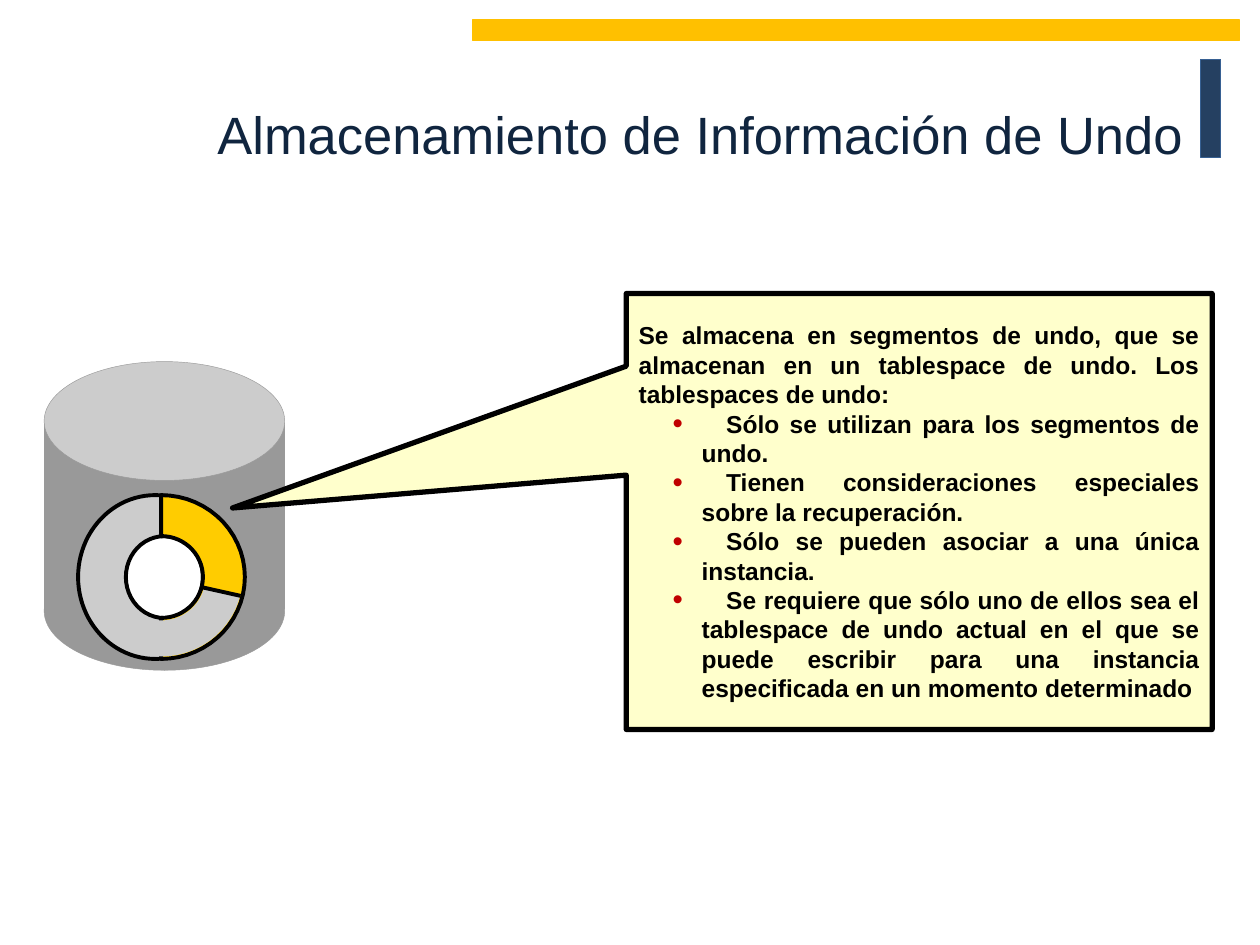
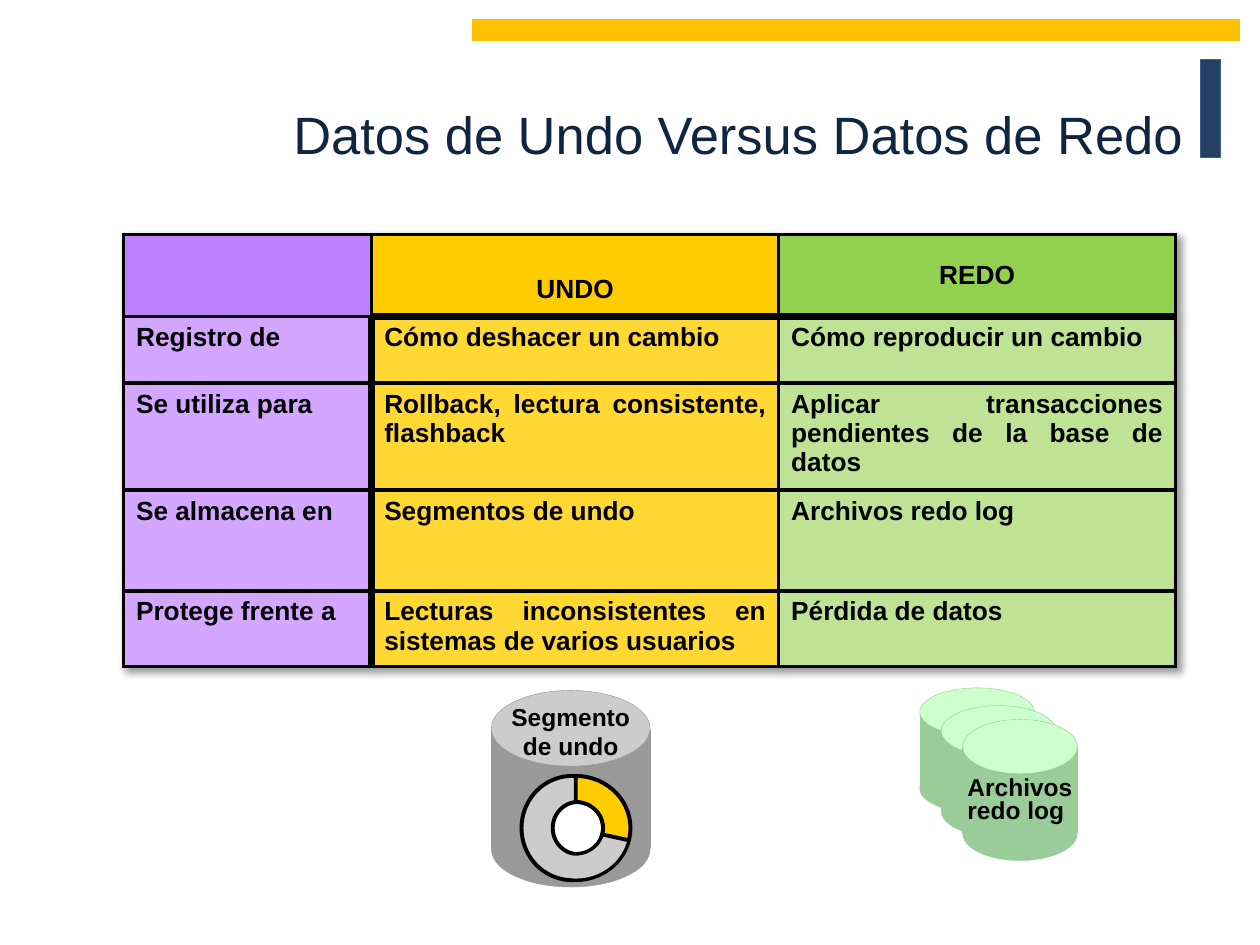
from math import cos, radians, sin

from lxml import etree
from pptx import Presentation
from pptx.dml.color import RGBColor
from pptx.enum.shapes import MSO_CONNECTOR, MSO_SHAPE
from pptx.enum.text import MSO_ANCHOR, PP_ALIGN
from pptx.oxml import parse_xml
from pptx.oxml.ns import nsdecls, qn
from pptx.util import Inches, Pt

RECT, OVAL = MSO_SHAPE.RECTANGLE, MSO_SHAPE.OVAL
CALLOUT = MSO_SHAPE.RECTANGULAR_CALLOUT
STRAIGHT = MSO_CONNECTOR.STRAIGHT
LEFT, CENTER, RIGHT = PP_ALIGN.LEFT, PP_ALIGN.CENTER, PP_ALIGN.RIGHT
JUSTIFY = PP_ALIGN.JUSTIFY
TOP, MIDDLE = MSO_ANCHOR.TOP, MSO_ANCHOR.MIDDLE

COLORS = {
    "black": "000000", "white": "FFFFFF", "title": "10253F",
    "navy": "254061", "navy_line": "376092", "band": "FFC000",
    "grey": "999999", "light_grey": "CCCCCC", "gold": "FFCC00",
    "green": "99CC99", "light_green": "CCFFCC",
    "note": "FFFFCC", "bullet": "C00000",
}
HEAD_FILLS = ("C081FF", "FFCC00", "92D050")
BODY_FILLS = ("D3A7FF", "FFD833", "BEE395")
FONT = "Arial"
COLUMNS, ROWS = 100, 75
CELL = Inches(0.1)
THIN, THICK = 2.25, 4.5


def grid(*values):
    return [round(v * CELL) for v in values]


def part(box, x, y, w, h):
    left, top, width, height = box
    return left + x * width, top + y * height, w * width, h * height


def rgb(name):
    return RGBColor.from_string(COLORS[name])


def paint(sp, fill, line=None, width=THIN):
    sp.shadow.inherit = False
    sp.fill.solid()
    sp.fill.fore_color.rgb = rgb(fill)
    if line:
        sp.line.color.rgb = rgb(line)
        sp.line.width = Pt(width)
    else:
        sp.line.fill.background()
    return sp


def shape(s, kind, box, fill, line, width=THIN):
    return paint(s.shapes.add_shape(kind, *grid(*box)), fill, line, width)


def style(p, size, align=LEFT, color="black", bold=True):
    p.alignment = align
    p.font.name = FONT
    p.font.size = Pt(size)
    p.font.bold = bold
    p.font.color.rgb = rgb(color)


def write(tf, lines, size, align=LEFT, anchor=TOP, color="black", bold=True):
    tf.word_wrap = True
    tf.vertical_anchor = anchor
    for i, line in enumerate(lines):
        p = tf.paragraphs[0] if i == 0 else tf.add_paragraph()
        p.text = line
        style(p, size, align, color, bold)


def label(s, box, lines, size, **options):
    tf = s.shapes.add_textbox(*grid(*box)).text_frame
    write(tf, lines, size, **options)
    return tf


def add_bullet(p):
    pPr = p._p.get_or_add_pPr()
    pPr.set("marL", str(Inches(0.5)))
    pPr.set("indent", str(-Inches(0.23)))
    ns = nsdecls("a")
    marks = (
        f'<a:buClr {ns}><a:srgbClr val="{COLORS["bullet"]}"/></a:buClr>',
        f'<a:buSzPct {ns} val="120000"/>',
        f'<a:buFont {ns} typeface="{FONT}"/>',
        f'<a:buChar {ns} char="•"/>',
    )
    for i, mark in enumerate(marks):
        pPr.insert(i, parse_xml(mark))


def frame(prs, title):
    s = prs.slides.add_slide(prs.slide_layouts[6])
    shape(s, RECT, (95.3, 4.7, 1.6, 7.8), "navy", "navy_line", 0.75)
    shape(s, RECT, (37.5, 1.6, 60.9, 1.6), "band", "band", 0.75)
    label(s, (6.7, 2.6, 88.2, 16), [title], 30, align=RIGHT, anchor=MIDDLE,
          color="title", bold=False)
    return s


def cylinder(s, box, side, lid):
    shape(s, RECT, part(box, 0, 0.2, 1, 0.6), side, side, 0.25)
    shape(s, OVAL, part(box, 0, 0, 1, 0.385), lid, side, 0.25)
    shape(s, OVAL, part(box, 0, 0.615, 1, 0.385), side, side, 0.25)


def ring_sector(s, box, start, end, inner, outer, fill, line=None):
    def point(radius, angle):
        a = radians(angle)
        return grid(*part(box, 0.495 + radius * cos(a),
                          0.5 + radius * sin(a), 0, 0)[:2])

    steps = [start + (end - start) * i / 30 for i in range(31)]
    points = [point(outer, a) for a in steps]
    points += [point(inner, a) for a in reversed(steps)]
    fb = s.shapes.build_freeform(*points[0])
    fb.add_line_segments(points[1:], close=True)
    paint(fb.convert_to_shape(), fill, line)


def undo_ring(s, box):
    shape(s, OVAL, part(box, 0, 0, 0.92, 1), "light_grey", "black")
    shape(s, OVAL, part(box, 0.285, 0.25, 0.46, 0.5), "white", "black")
    ring_sector(s, box, -90, 90, 0.25, 0.5, "gold", "black")
    ring_sector(s, box, 14, 95, 0.265, 0.485, "light_grey")
    x1, y1 = part(box, 0.73, 0.56, 0, 0)[:2]
    x2, y2 = part(box, 0.97, 0.615, 0, 0)[:2]
    cx = s.shapes.add_connector(STRAIGHT, *grid(x1, y1, x2, y2))
    cx.line.color.rgb = rgb("black")
    cx.line.width = Pt(THIN)
    etree.SubElement(cx._element.spPr, qn("a:effectLst"))


def callout(s, box, intro, items):
    sp = shape(s, CALLOUT, box, "note", "black", 3)
    sp.adjustments[0] = -1.172
    sp.adjustments[1] = -0.008
    tf = sp.text_frame
    write(tf, [intro] + ["\u2003" + item for item in items], 14,
          align=JUSTIFY, anchor=MIDDLE)
    for p in tf.paragraphs[1:]:
        add_bullet(p)


def set_borders(cell, widths):
    tcPr = cell._tc.get_or_add_tcPr()
    for i, (side, width) in enumerate(zip("LRTB", widths)):
        tcPr.insert(i, parse_xml(
            f'<a:ln{side} {nsdecls("a")} w="{Pt(width)}"><a:solidFill>'
            f'<a:srgbClr val="{COLORS["black"]}"/></a:solidFill></a:ln{side}>'))


def comparison(s, box, col_widths, row_heights, rows):
    frame_sp = s.shapes.add_table(len(rows), len(col_widths), *grid(*box))
    table = frame_sp.table
    for column, width in zip(table.columns, col_widths):
        column.width = grid(width)[0]
    for row, height in zip(table.rows, row_heights):
        row.height = grid(height)[0]
    for r, texts in enumerate(rows):
        for c, text in enumerate(texts):
            cell = table.cell(r, c)
            head = r == 0
            align = CENTER if head else JUSTIFY if c else LEFT
            write(cell.text_frame, [text], 15, align)
            cell.vertical_anchor = MIDDLE if head else TOP
            cell.fill.solid()
            cell.fill.fore_color.rgb = RGBColor.from_string(
                (HEAD_FILLS if head else BODY_FILLS)[c])
            set_borders(cell, (
                THICK if c == 1 and not head else THIN,
                THICK if c == 0 and not head else THIN,
                THICK if r == 1 and c else THIN,
                THICK if head and c else THIN))
    undo = table.cell(0, 1)
    undo.margin_top, undo.margin_bottom = Inches(0.27), Inches(0.05)
    table._tbl.tblPr.insert(0, parse_xml(
        f'<a:effectLst {nsdecls("a")}><a:outerShdw blurRad="50800" '
        'dist="38100" dir="2700000" algn="tl" rotWithShape="0">'
        f'<a:srgbClr val="{COLORS["black"]}"><a:alpha val="40000"/>'
        '</a:srgbClr></a:outerShdw></a:effectLst>'))


def redo_files(s, box):
    x, y, w, h = box
    for dx, dy, height in ((0, 0, 9.9), (1.7, 1.4, 10.4), (3.4, 2.5, 11.2)):
        cylinder(s, (x + dx, y + dy, w - 3.4, height), "green", "light_green")
    tf = label(s, (x + 2.8, y + 6.6, 10.4, 4.8), ["Archivos", "redo log"], 14)
    tf.word_wrap = False
    for p in tf.paragraphs:
        p.line_spacing = 0.8


def undo_segment(s, box):
    cylinder(s, box, "grey", "light_grey")
    label(s, part(box, 0, 0.025, 1, 0.365), ["Segmento", "de undo"], 14,
          align=CENTER)
    undo_ring(s, part(box, 0.19, 0.435, 0.69, 0.53))


def storage_slide(prs):
    s = frame(prs, "Almacenamiento de Información de Undo")
    cylinder(s, (3.5, 28.7, 19.1, 24.5), "grey", "light_grey")
    undo_ring(s, (6.2, 39.3, 13.3, 13))
    callout(
        s, (49.7, 23.3, 46.5, 34.6),
        "Se almacena en segmentos de undo, que se almacenan en un tablespace "
        "de undo. Los tablespaces de undo:",
        ["Sólo se utilizan para los segmentos de undo.",
         "Tienen consideraciones especiales sobre la recuperación.",
         "Sólo se pueden asociar a una única instancia.",
         "Se requiere que sólo uno de ellos sea el tablespace de undo actual "
         "en el que se puede escribir para una instancia especificada en un "
         "momento determinado"])


def comparison_slide(prs):
    s = frame(prs, "Datos de Undo Versus Datos de Redo")
    comparison(
        s, (9.8, 18.6, 83.5, 33.5), (19.7, 32.3, 31.5), (6.5, 5.3, 8, 8, 5.7),
        [("", "UNDO", "REDO"),
         ("Registro de", "Cómo deshacer un cambio",
          "Cómo reproducir un cambio"),
         ("Se utiliza para", "Rollback, lectura consistente, flashback",
          "Aplicar transacciones pendientes de la base de datos"),
         ("Se almacena en", "Segmentos de undo", "Archivos redo log"),
         ("Protege frente a",
          "Lecturas inconsistentes en sistemas de varios usuarios",
          "Pérdida de datos")])
    redo_files(s, (73, 54.6, 12.5, 13.7))
    undo_segment(s, (39, 54.8, 12.6, 15.6))


prs = Presentation()
prs.slide_width, prs.slide_height = grid(COLUMNS, ROWS)
storage_slide(prs)
comparison_slide(prs)
prs.save("out.pptx")
